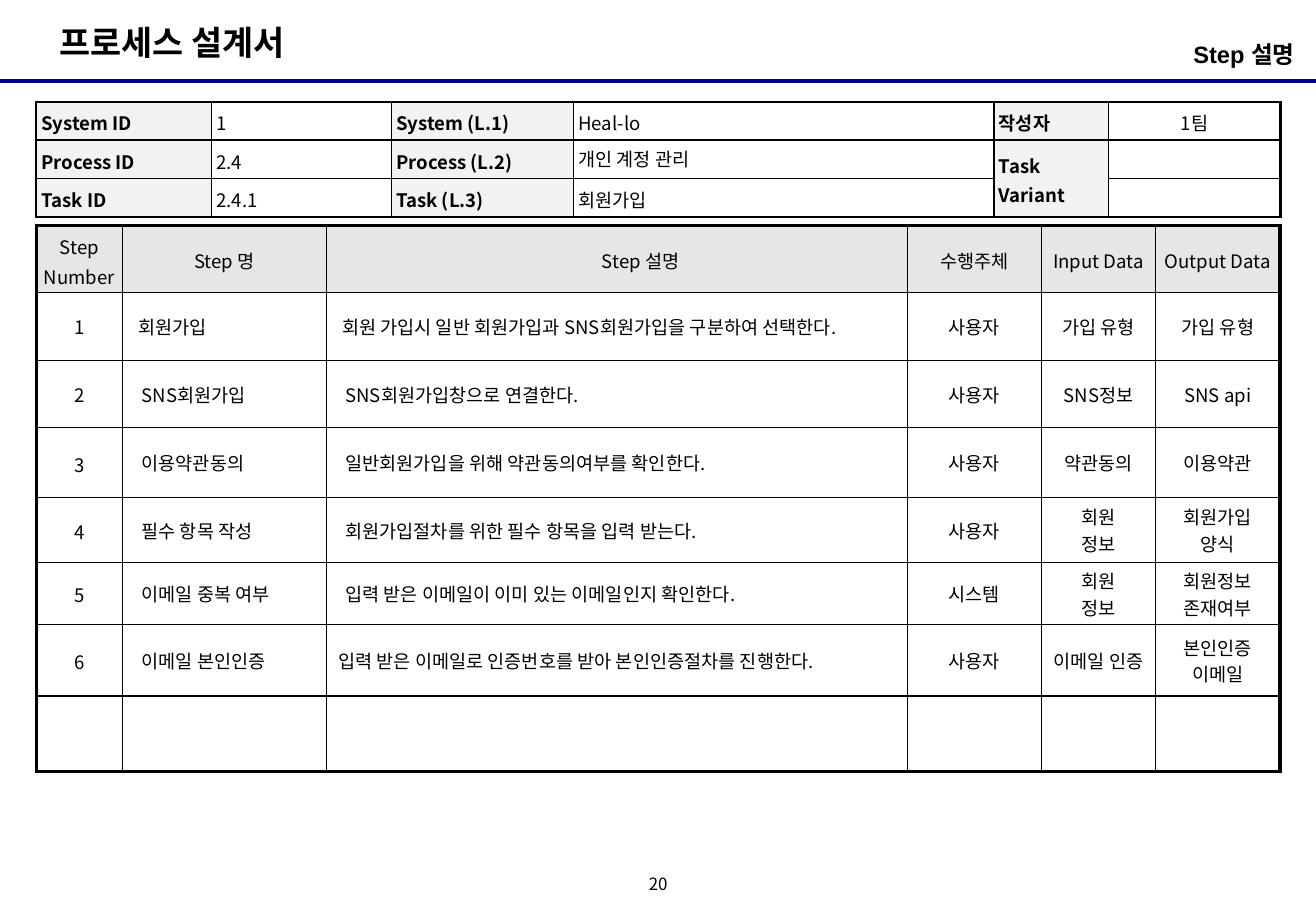
from lxml import etree
from pptx import Presentation
from pptx.dml.color import RGBColor
from pptx.enum.shapes import MSO_CONNECTOR
from pptx.enum.text import MSO_ANCHOR, PP_ALIGN
from pptx.oxml.ns import qn
from pptx.util import Cm, Pt

LEFT, CENTER, RIGHT = PP_ALIGN.LEFT, PP_ALIGN.CENTER, PP_ALIGN.RIGHT
TOP, MIDDLE = MSO_ANCHOR.TOP, MSO_ANCHOR.MIDDLE
STRAIGHT = MSO_CONNECTOR.STRAIGHT
BLACK = RGBColor(0x00, 0x00, 0x00)
NAVY = RGBColor(0x00, 0x00, 0x80)
LABEL_GRAY = RGBColor(0xF2, 0xF2, 0xF2)
HEADER_GRAY = RGBColor(0xE6, 0xE6, 0xE6)
SIDES = ("L", "R", "T", "B")

INFO_COLS = (3.66, 3.76, 3.81, 8.79, 2.39, 3.6)
INFO_ROWS = (0.8, 0.8, 0.8)
INFO = (
    ("System ID", "1", "System (L.1)", "Heal-lo", "작성자", "1팀"),
    ("Process ID", "2.4", "Process (L.2)", "개인 계정 관리", "Task Variant", ""),
    ("Task ID", "2.4.1", "Task (L.3)", "회원가입", "", ""),
)
STEP_COLS = (1.8, 4.26, 12.15, 2.8, 2.39, 2.6)
STEP_ROWS = (1.4, 1.42, 1.4, 1.47, 1.35, 1.3, 1.5, 1.57)
STEPS = (
    ("Step Number", "Step 명", "Step 설명", "수행주체", "Input Data", "Output Data"),
    ("1", "회원가입", "회원 가입시 일반 회원가입과 SNS회원가입을 구분하여 선택한다.",
     "사용자", "가입 유형", "가입 유형"),
    ("2", "SNS회원가입", "SNS회원가입창으로 연결한다.", "사용자", "SNS정보", "SNS api"),
    ("3", "이용약관동의", "일반회원가입을 위해 약관동의여부를 확인한다.",
     "사용자", "약관동의", "이용약관"),
    ("4", "필수 항목 작성", "회원가입절차를 위한 필수 항목을 입력 받는다.",
     "사용자", "회원\n정보", "회원가입\n양식"),
    ("5", "이메일 중복 여부", "입력 받은 이메일이 이미 있는 이메일인지 확인한다.",
     "시스템", "회원\n정보", "회원정보\n존재여부"),
    ("6", "이메일 본인인증", "입력 받은 이메일로 인증번호를 받아 본인인증절차를 진행한다.",
     "사용자", "이메일 인증", "본인인증\n이메일"),
    ("",) * 6,
)
STEP_INDENTS = {(0, 2): 1, (1, 1): 0.18, (1, 2): 0.18, (6, 2): 0.1}


class Deck:
    font = "Noto Sans CJK KR"
    size = 11

    def __init__(self, width, height):
        self.prs = Presentation()
        self.prs.slide_width, self.prs.slide_height = Cm(width), Cm(height)
        self.s = self.prs.slides.add_slide(self.prs.slide_layouts[6])

    def add_lines(self, tf, text, size=size, bold=False, align=LEFT, spacing=1.0,
                  indent=0, font=font):
        """Fill a text frame, one paragraph for each line of text."""
        for i, line in enumerate(text.split("\n")):
            p = tf.add_paragraph() if i else tf.paragraphs[0]
            p.alignment, p.line_spacing = align, spacing
            if indent:
                p._p.get_or_add_pPr().set("marL", str(Cm(indent)))
            if not line:
                etree.SubElement(p._p, qn("a:endParaRPr"), sz=str(size * 100))
                continue
            r = p.add_run()
            r.text = line
            r.font.name, r.font.size, r.font.bold = font, Pt(size), bold
            r.font.color.rgb = BLACK
            etree.SubElement(r._r.get_or_add_rPr(), qn("a:ea"), typeface=self.font)

    def text(self, box, text, insets=(0.25, 0.13), wrap=False, anchor=TOP, **style):
        tf = self.s.shapes.add_textbox(*map(Cm, box)).text_frame
        tf.word_wrap, tf.vertical_anchor = wrap, anchor
        tf.margin_left = tf.margin_right = Cm(insets[0])
        tf.margin_top = tf.margin_bottom = Cm(insets[1])
        self.add_lines(tf, text, **style)

    def line(self, x1, y1, x2, y2, color, width):
        c = self.s.shapes.add_connector(STRAIGHT, *map(Cm, (x1, y1, x2, y2)))
        c.line.color.rgb, c.line.width = color, Pt(width)
        etree.SubElement(c._element.spPr, qn("a:effectLst"))

    def table(self, x, y, cols, rows, frame):
        """Add an unfilled table with thin inner lines and a heavier frame."""
        t = self.s.shapes.add_table(len(rows), len(cols), Cm(x), Cm(y),
                                    Cm(sum(cols)), Cm(sum(rows))).table
        t.first_row = t.horz_banding = False
        for column, width in zip(t.columns, cols):
            column.width = Cm(width)
        for row, height in zip(t.rows, rows):
            row.height = Cm(height)
        for i in range(len(rows)):
            for j in range(len(cols)):
                outer = (j == 0, j == len(cols) - 1, i == 0, i == len(rows) - 1)
                for side, is_outer in zip(SIDES, outer):
                    self.border(t.cell(i, j), side, frame if is_outer else 1)
        return t

    def border(self, cell, side, width):
        tcPr = cell._tc.get_or_add_tcPr()
        tag = qn(f"a:ln{side}")
        ln = tcPr.find(tag)
        if ln is None:
            ln = etree.SubElement(tcPr, tag)
            fill = etree.SubElement(ln, qn("a:solidFill"))
            etree.SubElement(fill, qn("a:srgbClr"), val=str(BLACK))
        ln.set("w", str(Pt(width)))

    def cell(self, cell, text, margin_x, fill=None, anchor=MIDDLE, **style):
        cell.margin_left = cell.margin_right = Cm(margin_x)
        cell.margin_top = cell.margin_bottom = Cm(0.1)
        cell.vertical_anchor = anchor
        if fill is None:
            cell.fill.background()
        else:
            cell.fill.solid()
            cell.fill.fore_color.rgb = fill
        self.add_lines(cell.text_frame, text, **style)


def add_info_table(deck):
    t = deck.table(0.76, 2.13, INFO_COLS, INFO_ROWS, 1.5)
    for i, row in enumerate(INFO):
        for j, text in enumerate(row):
            is_label = j % 2 == 0
            deck.cell(t.cell(i, j), text, 0.1,
                      fill=LABEL_GRAY if is_label else None, bold=is_label,
                      anchor=TOP if j < 4 else MIDDLE,
                      align=CENTER if j == 5 else LEFT,
                      spacing=1.0 if (i, j) == (1, 3) else 1.1)
    for j in (4, 5):
        deck.border(t.cell(0, j), "B", 1.5)
        deck.border(t.cell(1, j), "T", 1.5)
    variant = t.cell(1, 4)
    deck.border(variant, "B", 1.5)
    variant.merge(t.cell(2, 4))


def add_step_table(deck):
    t = deck.table(0.76, 4.72, STEP_COLS, STEP_ROWS, 2.25)
    for i, row in enumerate(STEPS):
        for j, text in enumerate(row):
            is_header = i == 0
            is_left = not is_header and j in (1, 2)
            indent = STEP_INDENTS.get((i, j), 0.25 if is_left else 0)
            deck.cell(t.cell(i, j), text, 0.15,
                      fill=HEADER_GRAY if is_header else None,
                      align=LEFT if is_left else CENTER, indent=indent,
                      spacing=1.1 if is_header or (j == 0 and i > 2) else 1.0)


def main():
    deck = Deck(27.51, 19.05)
    deck.line(0, 1.7, 27.51, 1.7, NAVY, 2.25)
    deck.text((0.99, 0.33, 5.74, 1.12), "프로세스 설계서", size=20, bold=True)
    deck.text((13.34, 18.21, 0.84, 0.64), "20", insets=(0, 0), anchor=MIDDLE,
              size=10, align=CENTER, spacing=0.8)
    add_info_table(deck)
    deck.text((18.77, 0.71, 8.41, 0.99), "Step 설명 ", insets=(0, 0.13), wrap=True,
              size=14, bold=True, align=RIGHT, font="Arial")
    add_step_table(deck)
    deck.prs.save("out.pptx")


if __name__ == "__main__":
    main()
